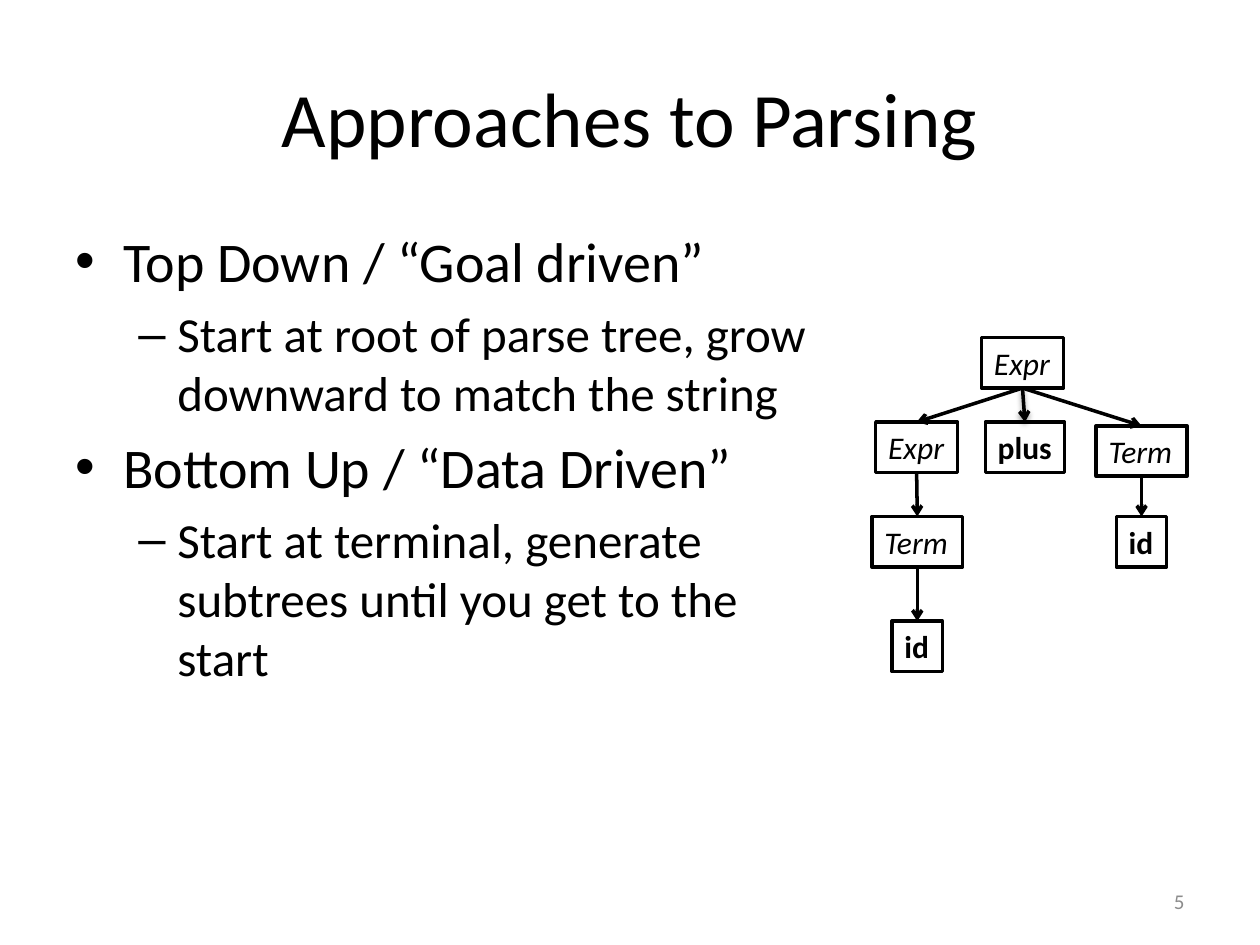
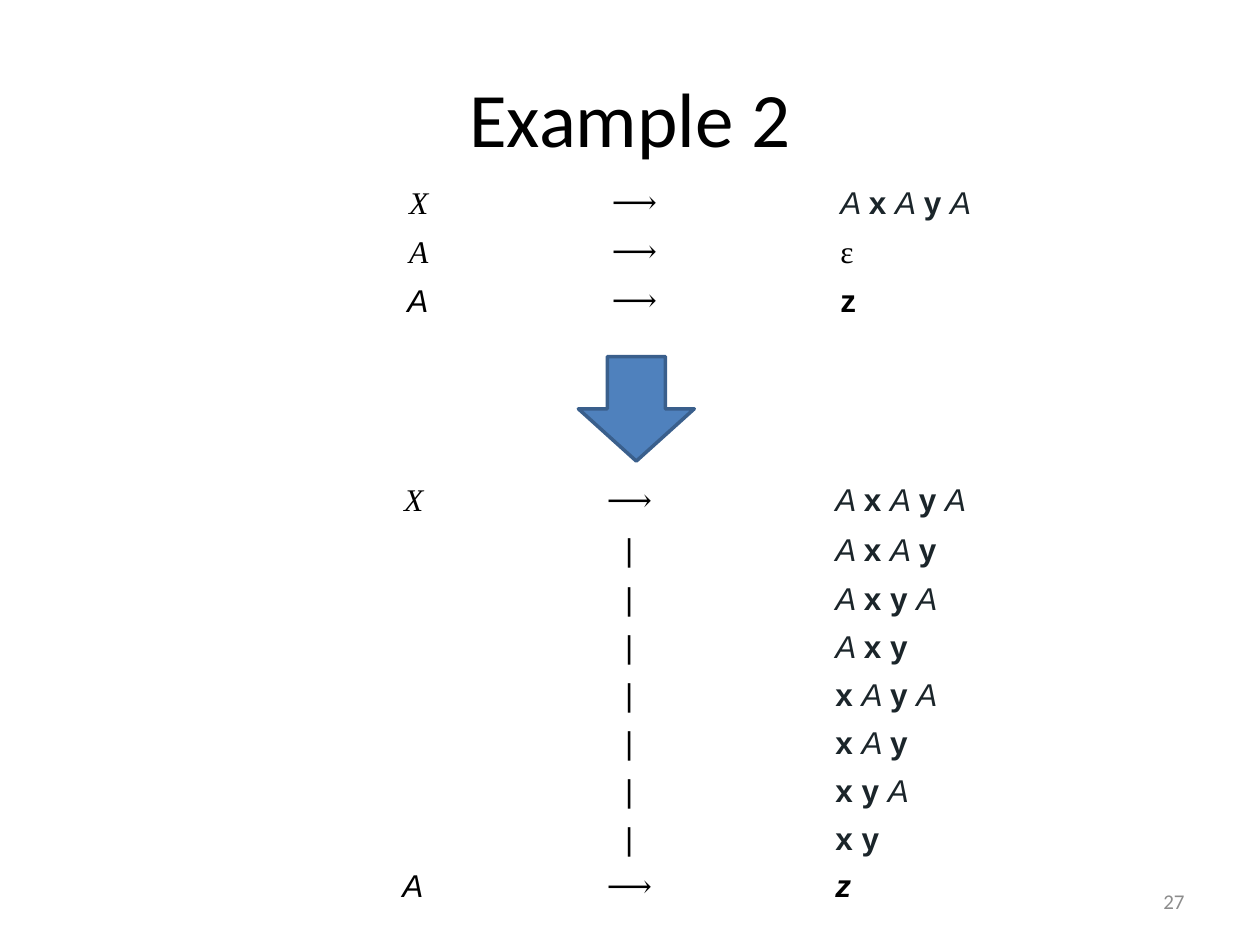
from itertools import groupby

from lxml import etree
from pptx import Presentation
from pptx.dml.color import RGBColor
from pptx.enum.shapes import MSO_CONNECTOR, MSO_SHAPE
from pptx.enum.text import MSO_ANCHOR as ANCHOR, MSO_AUTO_SIZE as AUTO, PP_ALIGN as ALIGN
from pptx.oxml.ns import qn
from pptx.util import Inches, Pt

COLORS = {"text": "000000", "symbol": "1B252A", "number": "8C8C8C",
          "paper": "FFFFFF", "arrow": "4F81BD", "arrow_line": "3A5F8C"}
BODY, SERIF, SANS, MATH = "Calibri", "Times New Roman", "Arial", "Cambria"
BOTTOM, TOP = 2, 0
ARROW = "⟶"

# level: (size, bullet, left margin, hanging indent)
BULLETS = {0: (32, "•", 0.38, -0.38), 1: (28, "–", 0.81, -0.31)}
APPROACHES = [
    (0, "Top Down / “Goal driven”"),
    (1, "Start at root of parse tree, grow downward to match the string"),
    (0, "Bottom Up / “Data Driven”"),
    (1, "Start at terminal, generate subtrees until you get to the start"),
]

# name: (label, left, top, width) inside the tree's box
NODE_HEIGHT = 0.4
NODES = {
    "root": ("Expr", 0.87, 0, 0.65),
    "left": ("Expr", 0.03, 0.67, 0.65),
    "right": ("Term", 1.78, 0.7, 0.72),
    "left term": ("Term", 0, 1.42, 0.72),
    "right id": ("id", 1.94, 1.42, 0.4),
    "left id": ("id", 0.16, 2.25, 0.4),
    "plus": ("plus", 0.9, 0.67, 0.63),
}
EDGES = [("root", "left"), ("root", "right"), ("left", "left term"),
         ("left term", "left id"), ("right", "right id"), ("root", "plus")]

RULE_COLS = [2.96, 3.07, 2.96]
FULL_RULE = "A x A y A"
SHORTER_RULES = ["A x A y", "A x y A", "A x y", "x A y A", "x A y", "x y A", "x y"]


def rgb(name):
    return RGBColor.from_string(COLORS[name])


def set_font(font, size, name=BODY, color="text", bold=False, italic=False):
    font.size, font.name = Pt(size), name
    font.bold, font.italic = bold, italic
    font.color.rgb = rgb(color)


def add_textbox(slide, left, top, width, height):
    tf = slide.shapes.add_textbox(*map(Inches, (left, top, width, height))).text_frame
    tf.word_wrap = True
    return tf


def add_titled_slide(prs, title):
    slide = prs.slides.add_slide(prs.slide_layouts[5])
    sp = slide.shapes.title
    sp.left, sp.top, sp.width, sp.height = map(Inches, (0.5, 0.3, 9, 1.25))
    tf = sp.text_frame
    tf.text = title
    tf.vertical_anchor = ANCHOR.MIDDLE
    p = tf.paragraphs[0]
    p.alignment = ALIGN.CENTER
    set_font(p.font, 44)
    return slide


def add_slide_number(slide, number):
    """Call this last, so that no filled table covers the number."""
    tf = add_textbox(slide, 7.17, 6.95, 2.33, 0.4)
    tf.vertical_anchor = ANCHOR.MIDDLE
    p = tf.paragraphs[0]
    p.text = str(number)
    p.alignment = ALIGN.RIGHT
    set_font(p.font, 12, color="number")


def add_bullets(slide, items, box):
    tf = add_textbox(slide, *box)
    for i, (level, text) in enumerate(items):
        size, bullet, margin, indent = BULLETS[level]
        p = tf.paragraphs[0] if i == 0 else tf.add_paragraph()
        p.text, p.level = text, level
        p.space_before = Pt(size * 0.2)
        set_font(p.font, size)
        props = p._p.get_or_add_pPr()
        props.set("marL", str(Inches(margin)))
        props.set("indent", str(Inches(indent)))
        run_props = props.find(qn("a:defRPr"))
        run_props.addprevious(etree.Element(qn("a:buFont"), typeface=SANS))
        run_props.addprevious(etree.Element(qn("a:buChar"), char=bullet))


def add_node(slide, label, left, top, width):
    sp = slide.shapes.add_shape(MSO_SHAPE.RECTANGLE, *map(Inches, (left, top, width, NODE_HEIGHT)))
    sp.shadow.inherit = False
    sp.fill.solid()
    sp.fill.fore_color.rgb = rgb("paper")
    sp.line.color.rgb = rgb("text")
    sp.line.width = Pt(2)
    tf = sp.text_frame
    tf.word_wrap, tf.auto_size = False, AUTO.SHAPE_TO_FIT_TEXT
    tf.vertical_anchor = ANCHOR.TOP
    p = tf.paragraphs[0]
    p.text, p.alignment = label, ALIGN.LEFT
    terminal = label.islower()
    set_font(p.font, 18, bold=terminal, italic=not terminal)
    return sp


def add_edge(slide, parent, child, shadow):
    line = slide.shapes.add_connector(MSO_CONNECTOR.STRAIGHT, 0, 0, 0, 0)
    line.begin_connect(parent, BOTTOM)
    line.end_connect(child, TOP)
    line.line.color.rgb = rgb("text")
    line.line.width = Pt(2)
    etree.SubElement(line.line._get_or_add_ln(), qn("a:tailEnd"), type="arrow")
    effects = etree.SubElement(line._element.spPr, qn("a:effectLst"))
    if shadow:
        outer = etree.SubElement(effects, qn("a:outerShdw"), blurRad=str(Pt(3.1)),
                                 dist=str(Pt(1.6)), dir="5400000", rotWithShape="0")
        color = etree.SubElement(outer, qn("a:srgbClr"), val=COLORS["text"])
        etree.SubElement(color, qn("a:alpha"), val="38000")


def add_parse_tree(slide, left, top):
    nodes = {name: add_node(slide, label, left + x, top + y, width)
             for name, (label, x, y, width) in NODES.items()}
    for parent, child in EDGES:
        add_edge(slide, nodes[parent], nodes[child], shadow=child == "plus")


def add_symbols(p, text):
    """Write variables (capitals) in italics and terminals in bold."""
    groups = [(upper, " ".join(group)) for upper, group in groupby(text.split(), str.isupper)]
    for i, (upper, symbols) in enumerate(groups):
        r = p.add_run()
        r.text = symbols + (" " if i < len(groups) - 1 else "")
        set_font(r.font, 18, SANS, "symbol", bold=not upper, italic=upper)


def add_rules(slide, rules, heights, left, top):
    """Each rule is (head, head font, sign, body, body style); no style means symbols."""
    frame = slide.shapes.add_table(len(rules), 3, *map(
        Inches, (left, top, sum(RULE_COLS), sum(heights))))
    table = frame.table
    table.first_row = table.horz_banding = False
    for column, width in zip(table.columns, RULE_COLS):
        column.width = Inches(width)
    for row, height, (head, head_font, sign, body, style) in zip(table.rows, heights, rules):
        row.height = Inches(height)
        for cell, align in zip(row.cells, (ALIGN.RIGHT, ALIGN.CENTER, ALIGN.LEFT)):
            cell.fill.solid()
            cell.fill.fore_color.rgb = rgb("paper")
            cell.vertical_anchor = ANCHOR.MIDDLE
            cell.margin_top = cell.margin_bottom = 0
            cell.text_frame.paragraphs[0].alignment = align
        head_p, sign_p, body_p = (cell.text_frame.paragraphs[0] for cell in row.cells)
        if head:
            head_p.text = head
            set_font(head_p.font, 18, head_font, italic=True)
        sign_p.text = sign
        set_font(sign_p.font, 18, MATH if sign == ARROW else SANS)
        if style:
            body_p.text = body
            set_font(body_p.font, 18, **style)
        else:
            add_symbols(body_p, body)


def add_down_arrow(slide, left, top, width, height):
    sp = slide.shapes.add_shape(MSO_SHAPE.DOWN_ARROW, *map(Inches, (left, top, width, height)))
    sp.shadow.inherit = False
    sp.fill.solid()
    sp.fill.fore_color.rgb = rgb("arrow")
    sp.line.color.rgb = rgb("arrow_line")
    sp.line.width = Pt(2)


def build_approaches(prs):
    slide = add_titled_slide(prs, "Approaches to Parsing")
    add_bullets(slide, APPROACHES, (0.5, 1.75, 6, 4.95))
    add_parse_tree(slide, 6.92, 2.68)
    add_slide_number(slide, 5)


def build_example(prs):
    slide = add_titled_slide(prs, "Example 2")
    start = ("X", SERIF, ARROW, FULL_RULE, None)
    before = [start,
              ("A", SERIF, ARROW, "ε", {"name": SERIF}),
              ("A", SANS, ARROW, "z", {"name": SANS, "bold": True})]
    after = [start,
             *(("", SANS, "|", body, None) for body in SHORTER_RULES),
             ("A", SANS, ARROW, "z", {"name": SANS, "bold": True, "italic": True})]
    add_rules(slide, after, [0.39, 0.4] + [0.38] * 7, 0.5, 3.78)
    add_rules(slide, before, [0.39] * 3, 0.54, 1.42)
    add_down_arrow(slide, 4.59, 2.83, 0.92, 0.83)
    add_slide_number(slide, 27)


def main():
    prs = Presentation()
    prs.slide_width, prs.slide_height = Inches(10), Inches(7.5)
    build_approaches(prs)
    build_example(prs)
    prs.save("out.pptx")


if __name__ == "__main__":
    main()
